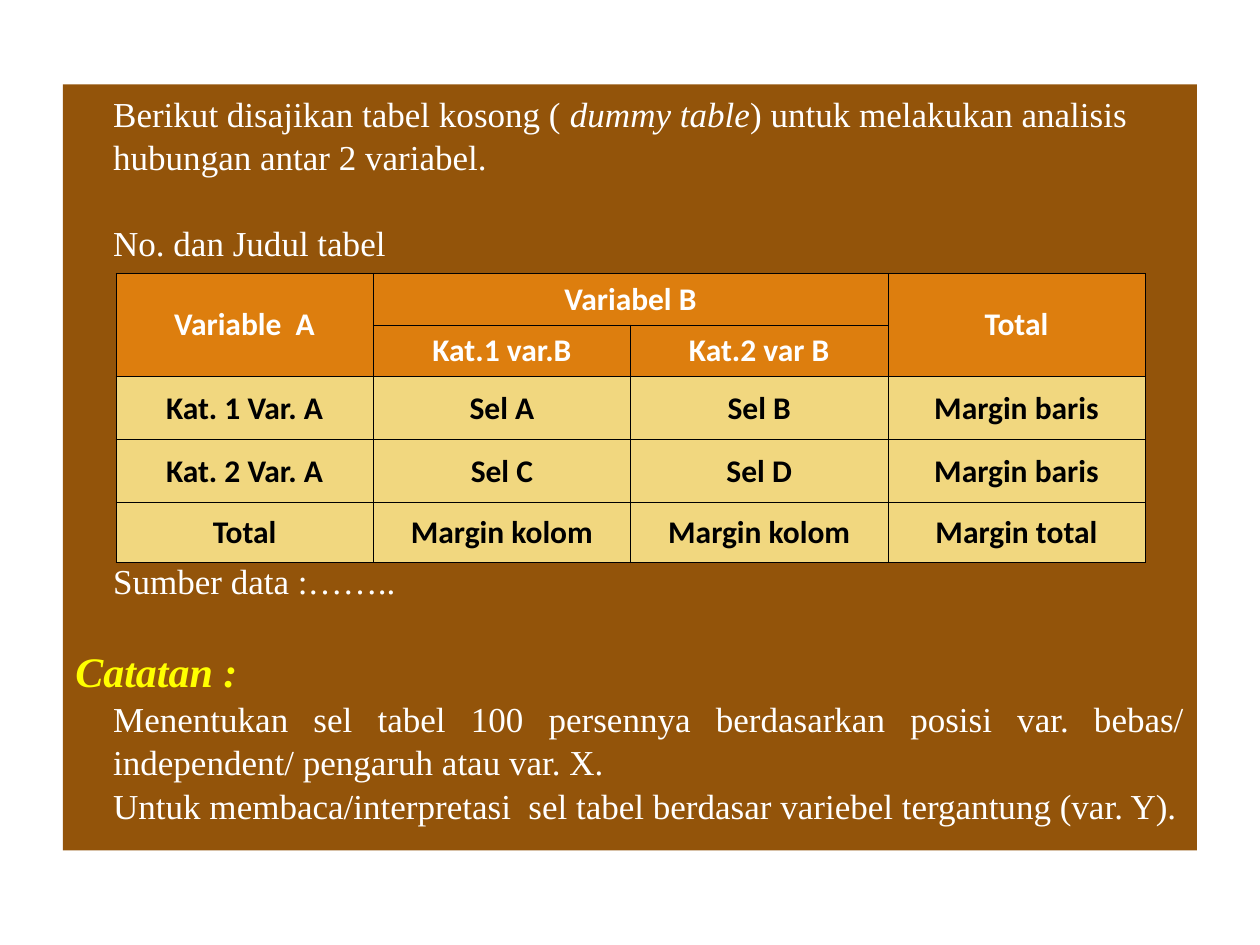
from pptx import Presentation
from pptx.dml.color import RGBColor
from pptx.enum.shapes import MSO_SHAPE
from pptx.enum.text import MSO_ANCHOR, PP_ALIGN
from pptx.oxml.ns import qn
from pptx.util import Inches, Pt
from lxml import etree

RECT = MSO_SHAPE.RECTANGLE
TOP, MIDDLE = MSO_ANCHOR.TOP, MSO_ANCHOR.MIDDLE
LEFT, CENTER, JUSTIFY = PP_ALIGN.LEFT, PP_ALIGN.CENTER, PP_ALIGN.JUSTIFY

COLORS = {
    "panel": "93540A",
    "head": "DD7E0E",
    "body": "F1D77F",
    "white": "FFFFFF",
    "black": "000000",
    "note": "FFFF00",
}
SERIF, SANS = "Times New Roman", "Calibri"
LINE = 24
INDENT = 0.3

INTRO = ["Berikut disajikan tabel kosong ( ", "dummy table",
         ") untuk melakukan analisis hubungan antar 2 variabel."]
NOTE = "Catatan :"
TEXTS = [
    (INTRO, 0, LEFT),
    (["No. dan Judul tabel"], 1, LEFT),
    (["Sumber data :…….."], 7, LEFT),
    ([NOTE], 1, JUSTIFY),
    (["Menentukan sel tabel 100 persennya berdasarkan posisi var. bebas/ "
      "independent/ pengaruh atau var. X. "], 0, JUSTIFY),
    (["Untuk membaca/interpretasi  sel tabel berdasar variebel tergantung "
      "(var. Y)."], 0, JUSTIFY),
]

ROWS = [
    ["Variable  A", "Variabel B", "", "Total"],
    ["", "Kat.1 var.B", "Kat.2 var B", ""],
    ["Kat. 1 Var. A", "Sel A", "Sel B", "Margin baris"],
    ["Kat. 2 Var. A", "Sel C", "Sel D", "Margin baris"],
    ["Total", "Margin kolom", "Margin kolom", "Margin total"],
]
HEIGHTS = [0.41, 0.41, 0.5, 0.5, 0.47]
WIDTH = 8.17
MERGES = [((0, 0), (1, 0)), ((0, 1), (0, 2)), ((0, 3), (1, 3))]
HEADS = 2


def color(name):
    return RGBColor.from_string(COLORS[name])


def style(run, face, size, tint, bold=False, italic=False):
    font = run.font
    font.name, font.size = face, Pt(size)
    font.bold, font.italic = bold, italic
    font.color.rgb = color(tint)


def border(cell):
    props = cell._tc.get_or_add_tcPr()
    for at, side in enumerate(("lnL", "lnR", "lnT", "lnB")):
        line = etree.Element(qn(f"a:{side}"), w=str(Pt(0.45)))
        fill = etree.SubElement(line, qn("a:solidFill"))
        etree.SubElement(fill, qn("a:srgbClr"), val=COLORS["black"])
        props.insert(at, line)


def add_panel(slide):
    panel = slide.shapes.add_shape(
        RECT, Inches(0.5), Inches(0.67), Inches(9), Inches(6.08))
    panel.shadow.inherit = False
    panel.fill.solid()
    panel.fill.fore_color.rgb = color("panel")
    panel.line.fill.background()
    frame = panel.text_frame
    frame.word_wrap = True
    frame.vertical_anchor = TOP
    for at, (parts, gap, align) in enumerate(TEXTS):
        para = frame.paragraphs[0] if at == 0 else frame.add_paragraph()
        para.alignment = align
        para.line_spacing = 1.04
        para.space_before = Pt(gap * LINE)
        note = parts[0] == NOTE
        if not note:
            para._p.get_or_add_pPr().set("marL", str(Inches(INDENT)))
        for nth, part in enumerate(parts):
            run = para.add_run()
            run.text = part
            if note:
                style(run, SERIF, 24, "note", True, True)
            else:
                style(run, SERIF, 20, "white", italic=nth == 1)


def add_grid(slide):
    table = slide.shapes.add_table(
        len(ROWS), len(ROWS[0]), Inches(0.92), Inches(2.17),
        Inches(WIDTH), Inches(sum(HEIGHTS))).table
    for row, height in zip(table.rows, HEIGHTS):
        row.height = Inches(height)
    for y, row in enumerate(ROWS):
        head = y < HEADS
        for x, text in enumerate(row):
            cell = table.cell(y, x)
            cell.fill.solid()
            cell.fill.fore_color.rgb = color("head" if head else "body")
            cell.vertical_anchor = MIDDLE
            cell.margin_left = cell.margin_right = Inches(0.08)
            border(cell)
            para = cell.text_frame.paragraphs[0]
            para.text = text
            para.alignment = CENTER
            for run in para.runs:
                style(run, SANS, 18, "white" if head else "black", True)
    for start, end in MERGES:
        table.cell(*start).merge(table.cell(*end))


def main():
    deck = Presentation()
    deck.slide_width, deck.slide_height = Inches(10), Inches(7.5)
    slide = deck.slides.add_slide(deck.slide_layouts[6])
    add_panel(slide)
    add_grid(slide)
    deck.save("out.pptx")


if __name__ == "__main__":
    main()
